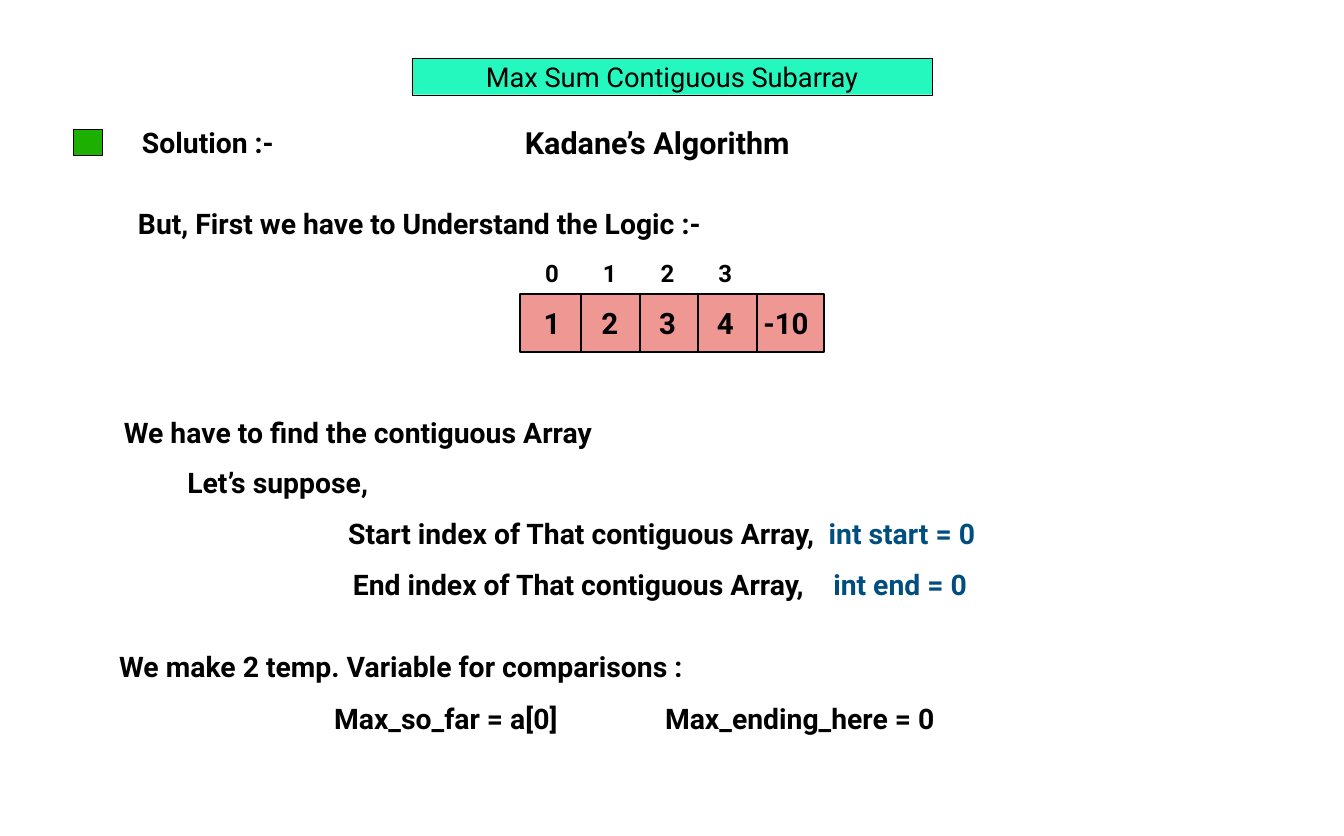
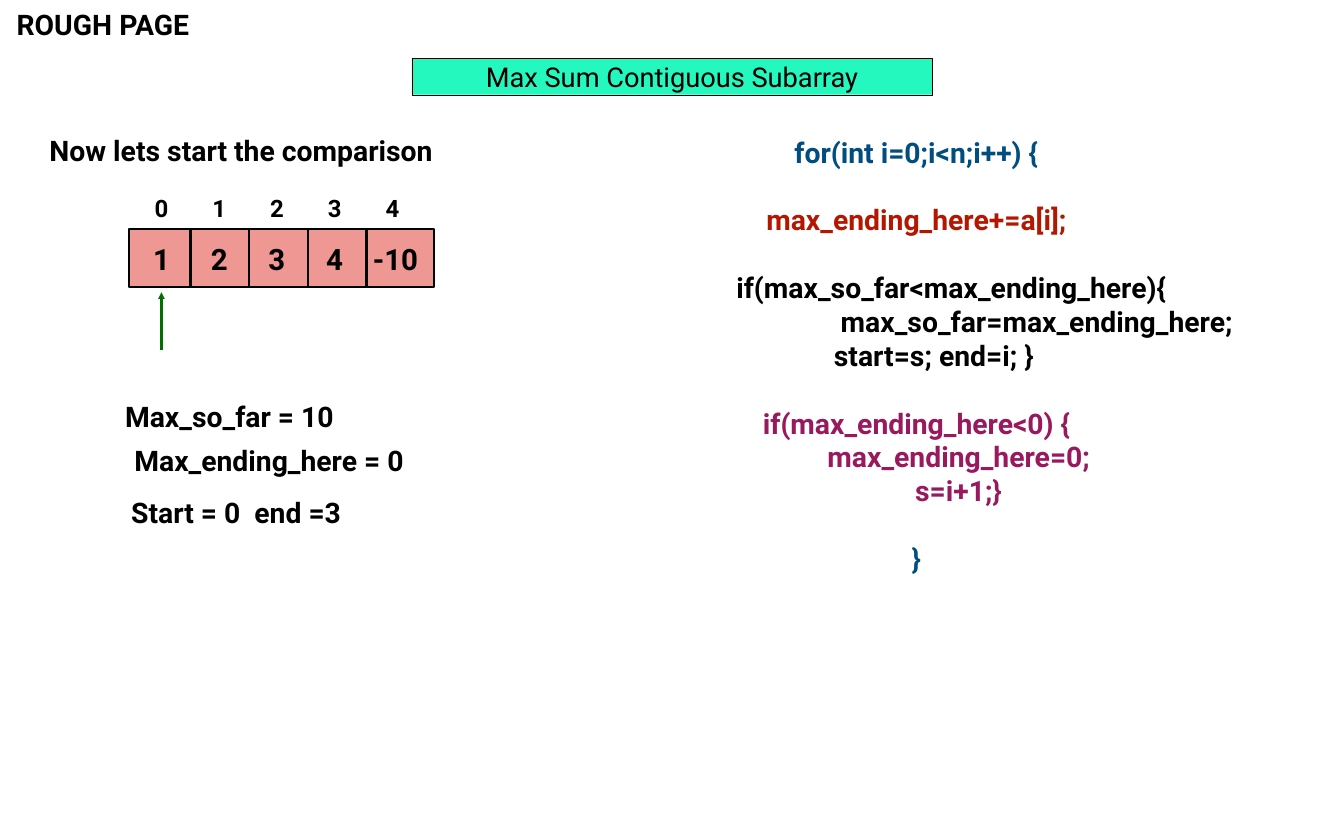
from lxml.etree import SubElement
from pptx import Presentation
from pptx.dml.color import RGBColor
from pptx.enum.shapes import MSO_CONNECTOR as Connector, MSO_SHAPE as Shape
from pptx.enum.text import MSO_ANCHOR as Anchor, MSO_AUTO_SIZE as AutoSize, PP_ALIGN as Align
from pptx.oxml.ns import qn
from pptx.util import Cm, Pt

FONT = "Roboto"
BLACK, MINT, GREEN, SALMON = "000000", "25F8BF", "1EB001", "EE9793"
BLUE, RED, PURPLE, ARROW_GREEN = "004D80", "B51600", "99195E", "027001"
TITLE = "Max Sum Contiguous Subarray"
VALUES = ["1", "2", "3", "4", "-10"]
BODY_SIZE, VALUE_SIZE, INDEX_SIZE, CODE_GAP = 26, 27, 22, 31
LINE_HEIGHT, INSET = 1.27, 0.08

LOGIC_LINES = [
    ("Solution :-", 4.52, 3.98, 4.67),
    ("But, First we have to Understand the Logic :-", 4.39, 6.6, 19.76),
    ("We have to find the contiguous Array", 3.93, 13.36, 16.56),
    ("Let’s suppose,", 5.99, 15.0, 6.53),
    ("We make 2 temp. Variable for comparisons :", 3.78, 20.94, 19.66),
    ("Max_so_far = a[0]", 10.74, 22.65, 7.92),
    ("Max_ending_here = 0", 21.46, 22.65, 9.45),
]
INDEX_LINES = [
    ("Start index of That contiguous Array,", "int start = 0", 11.2, 16.64, 21.92),
    ("End index of That contiguous Array,", "int end = 0", 11.35, 18.29, 21.62),
]
ROUGH_LINES = [
    ("ROUGH PAGE", 0.46, 0.15, 6.35),
    ("Now lets start the comparison", 1.52, 4.22, 13.64),
    ("Max_so_far = 10", 3.97, 12.85, 7.29),
    ("Max_ending_here = 0", 4.27, 14.28, 9.45),
]
CODE_LINES = [
    ("for(int i=0;i<n;i++) {", BLUE, 1.88, 0),
    ("max_ending_here+=a[i];", RED, 0.97, CODE_GAP),
    ("if(max_so_far<max_ending_here){", BLACK, 0, CODE_GAP),
    ("max_so_far=max_ending_here;", BLACK, 3.38, 0),
    ("start=s; end=i; }", BLACK, 3.16, 0),
    ("if(max_ending_here<0) {", PURPLE, 0.86, CODE_GAP),
    ("max_ending_here=0;", PURPLE, 2.95, 0),
    ("s=i+1;}", PURPLE, 5.79, 0),
    ("}", BLUE, 5.68, CODE_GAP),
]


def rgb(color):
    return RGBColor.from_string(color)


def format_run(run, size=BODY_SIZE, color=BLACK, bold=True):
    run.font.name, run.font.size, run.font.bold = FONT, Pt(size), bold
    run.font.color.rgb = rgb(color)


def format_frame(frame, wrap):
    frame.margin_left = frame.margin_right = frame.margin_top = frame.margin_bottom = Cm(INSET)
    frame.auto_size = AutoSize.NONE
    frame.word_wrap, frame.vertical_anchor = wrap, Anchor.MIDDLE


def format_box(shape, fill, line_width):
    shape.fill.solid()
    shape.fill.fore_color.rgb = rgb(fill)
    shape.line.color.rgb = rgb(BLACK)
    shape.line.width = Pt(line_width)


def add_text(slide, text, left, top, width, height=LINE_HEIGHT, size=BODY_SIZE, align=Align.LEFT):
    frame = slide.shapes.add_textbox(Cm(left), Cm(top), Cm(width), Cm(height)).text_frame
    format_frame(frame, False)
    frame.text = text
    paragraph = frame.paragraphs[0]
    paragraph.alignment = align
    format_run(paragraph.runs[0], size)
    return paragraph


def add_tabbed_text(slide, first, second, left, top, width, tab, color=BLACK):
    paragraph = add_text(slide, first + "\t", left, top, width)
    run = paragraph.add_run()
    run.text = second
    format_run(run, color=color)
    tabs = SubElement(paragraph._p.get_or_add_pPr(), qn("a:tabLst"))
    SubElement(tabs, qn("a:tab"), pos=str(Cm(tab)), algn="l")


def add_rectangle(slide, left, top, width, height, fill, line_width):
    rectangle = slide.shapes.add_shape(Shape.RECTANGLE, Cm(left), Cm(top), Cm(width), Cm(height))
    rectangle.shadow.inherit = False
    format_box(rectangle, fill, line_width)


def add_line(slide, x, start, end, color=BLACK, arrow=False):
    line = slide.shapes.add_connector(Connector.STRAIGHT, Cm(x), Cm(start), Cm(x), Cm(end))
    line.line.color.rgb = rgb(color)
    line.line.width = Pt(2)
    if arrow:
        SubElement(line.line._get_or_add_ln(), qn("a:tailEnd"), type="triangle")
    SubElement(line._element.spPr, qn("a:effectLst"))


def add_array(slide, left, top, index_count):
    height, first_cell, cell, first_center, pitch = 1.88, 1.98, 1.9, 1.04, 1.87
    add_rectangle(slide, left, top, 9.86, height, SALMON, 2)
    for position in range(len(VALUES) - 1):
        add_line(slide, left + first_cell + cell * position, top + height, top)
    for position, value in enumerate(VALUES):
        text_left = left + first_center + pitch * position - 0.83
        sign_shift = 0.1 if value.startswith("-") else 0
        add_text(slide, value, text_left + sign_shift, top + 0.29, 1.66, 1.3, VALUE_SIZE, Align.CENTER)
        if position < index_count:
            add_text(slide, str(position), text_left, top - 1.23, 1.66, 1.09, INDEX_SIZE, Align.CENTER)


def add_code(slide):
    frame = slide.shapes.add_textbox(Cm(23.77), Cm(4.1), Cm(18), Cm(14.81)).text_frame
    format_frame(frame, True)
    frame.text = "\n".join(line[0] for line in CODE_LINES)
    for paragraph, (_, color, indent, gap) in zip(frame.paragraphs, CODE_LINES):
        paragraph.space_before = Pt(gap)
        properties = paragraph._p.get_or_add_pPr()
        properties.set("marL", str(Cm(indent)))
        properties.set("indent", "0")
        format_run(paragraph.runs[0], color=color)


def add_titled_slide(presentation):
    slide = presentation.slides.add_slide(presentation.slide_layouts[5])
    title = slide.shapes.title
    title.left, title.top, title.width, title.height = Cm(13.34), Cm(1.88), Cm(16.85), Cm(1.19)
    format_box(title, MINT, 0.25)
    format_frame(title.text_frame, True)
    title.text_frame.text = TITLE
    paragraph = title.text_frame.paragraphs[0]
    paragraph.alignment = Align.CENTER
    format_run(paragraph.runs[0], 25, bold=False)
    return slide


presentation = Presentation()
presentation.slide_width, presentation.slide_height = Cm(43.53), Cm(27.09)

logic_slide = add_titled_slide(presentation)
add_rectangle(logic_slide, 2.37, 4.19, 0.94, 0.84, GREEN, 1)
add_text(logic_slide, "Kadane’s Algorithm", 16.92, 3.94, 9.68, 1.32, 28)
for line in LOGIC_LINES:
    add_text(logic_slide, *line)
for line in INDEX_LINES:
    add_tabbed_text(logic_slide, *line, 15.56, BLUE)
add_array(logic_slide, 16.84, 9.53, 4)

rough_slide = add_titled_slide(presentation)
for line in ROUGH_LINES:
    add_text(rough_slide, *line)
add_tabbed_text(rough_slide, "Start = 0", "end =3", 4.17, 15.96, 7.34, 3.99)
add_array(rough_slide, 4.19, 7.43, 5)
add_line(rough_slide, 5.23, 11.35, 9.47, ARROW_GREEN, True)
add_code(rough_slide)

presentation.save("out.pptx")
